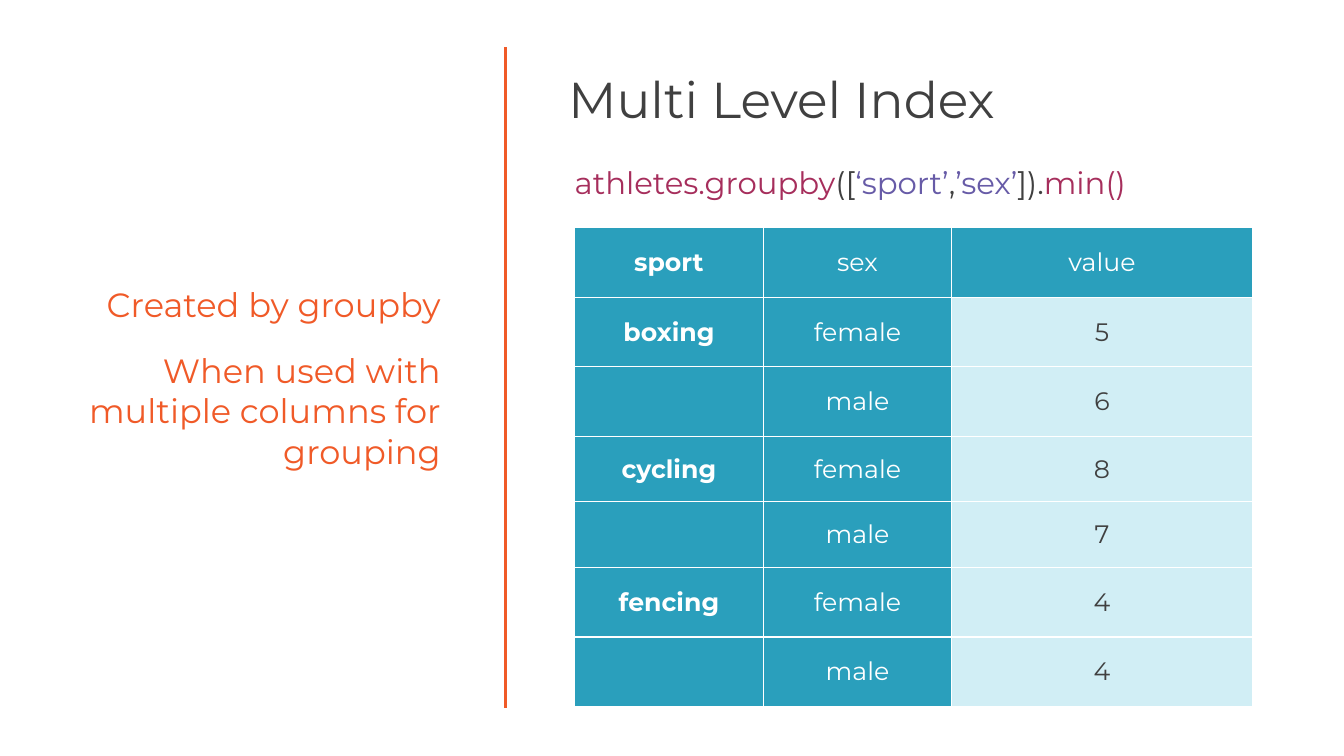
from lxml import etree
from pptx import Presentation
from pptx.dml.color import RGBColor
from pptx.enum import shapes, text
from pptx.oxml import ns
from pptx.util import Inches, Pt

FONT = "Montserrat"
ORANGE = RGBColor(0xF0, 0x5A, 0x28)
GRAY = RGBColor(0x40, 0x40, 0x40)
BERRY = RGBColor(0xA6, 0x2E, 0x5C)
VIOLET = RGBColor(0x67, 0x5B, 0xA7)
TEAL = RGBColor(0x2A, 0x9F, 0xBC)
PALE_TEAL = RGBColor(0xD1, 0xEE, 0xF5)
WHITE = RGBColor(0xFF, 0xFF, 0xFF)


def write(frame, paragraphs, size, align=text.PP_ALIGN.LEFT, bold=False, before=0):
    """Fill a text frame; each paragraph is a list of (words, colour) runs."""
    frame.word_wrap = True
    for number, runs in enumerate(paragraphs):
        paragraph = frame.add_paragraph() if number else frame.paragraphs[0]
        paragraph.alignment = align
        paragraph.space_before = Pt(before)
        for words, colour in runs:
            run = paragraph.add_run()
            run.text = words
            run.font.name = FONT
            run.font.size = Pt(size)
            run.font.bold = bold
            run.font.color.rgb = colour


def add_frame(left, top, width, height, anchor, insets):
    """Add a text box and return its frame; insets are left and the other three."""
    box = slide.shapes.add_textbox(Inches(left), Inches(top), Inches(width), Inches(height))
    frame = box.text_frame
    frame.vertical_anchor = anchor
    frame.margin_left = Inches(insets[0])
    frame.margin_top = frame.margin_right = frame.margin_bottom = Inches(insets[1])
    return frame


deck = Presentation()
deck.slide_width, deck.slide_height = Inches(13.33), Inches(7.5)
slide = deck.slides.add_slide(deck.slide_layouts[6])

divider = slide.shapes.add_connector(
    shapes.MSO_CONNECTOR.STRAIGHT, Inches(5.01), Inches(0.47), Inches(5.01), Inches(7.02))
divider.line.color.rgb = ORANGE
divider.line.width = Pt(2)
etree.SubElement(divider.element.spPr, ns.qn("a:effectLst"))

summary = add_frame(0.52, 0.47, 3.85, 6.55, text.MSO_ANCHOR.MIDDLE, (0, 0))
write(summary, [[("Created by groupby", ORANGE)],
                [("When used with multiple columns for grouping", ORANGE)]],
      size=24, align=text.PP_ALIGN.RIGHT, before=18)

title = add_frame(5.54, 0.5, 6.86, 0.96, text.MSO_ANCHOR.MIDDLE, (0.1, 0))
write(title, [[("Multi Level Index", GRAY)]], size=36)

# Grouped table: the two index columns are teal, the values pale
column_widths = [1.87, 1.87, 2.98]
row_heights = [0.69, 0.69, 0.69, 0.65, 0.65, 0.69, 0.69]
rows = [
    ("sport", "sex", "value"),
    ("boxing", "female", "5"),
    ("", "male", "6"),
    ("cycling", "female", "8"),
    ("", "male", "7"),
    ("fencing", "female", "4"),
    ("", "male", "4"),
]
athletes = slide.shapes.add_table(
    len(rows), len(column_widths), Inches(5.7), Inches(2.26),
    Inches(sum(column_widths)), Inches(sum(row_heights))).table
for column, width in zip(athletes.columns, column_widths):
    column.width = Inches(width)
for row, height in zip(athletes.rows, row_heights):
    row.height = Inches(height)

for r, row in enumerate(rows):
    for c, words in enumerate(row):
        is_value = r > 0 and c == 2
        cell = athletes.cell(r, c)
        cell.vertical_anchor = text.MSO_ANCHOR.MIDDLE
        if words:
            write(cell.text_frame, [[(words, GRAY if is_value else WHITE)]],
                  size=18, align=text.PP_ALIGN.CENTER, bold=c == 0)
        properties = cell._tc.get_or_add_tcPr()
        for side in ("lnL", "lnR", "lnT", "lnB"):
            border = etree.SubElement(properties, ns.qn(f"a:{side}"), w=str(Pt(1)))
            paint = etree.SubElement(border, ns.qn("a:solidFill"))
            etree.SubElement(paint, ns.qn("a:srgbClr"), val=str(WHITE))
        cell.fill.solid()
        cell.fill.fore_color.rgb = PALE_TEAL if is_value else TEAL

code = add_frame(5.54, 1.58, 7.55, 0.57, text.MSO_ANCHOR.TOP, (0.16, 0.05))
write(code, [[("athletes.groupby", BERRY), ("([", GRAY), ("‘sport’", VIOLET), (",", GRAY),
              ("’sex’", VIOLET), ("]).", GRAY), ("min()", BERRY)]], size=22)

deck.save("out.pptx")
